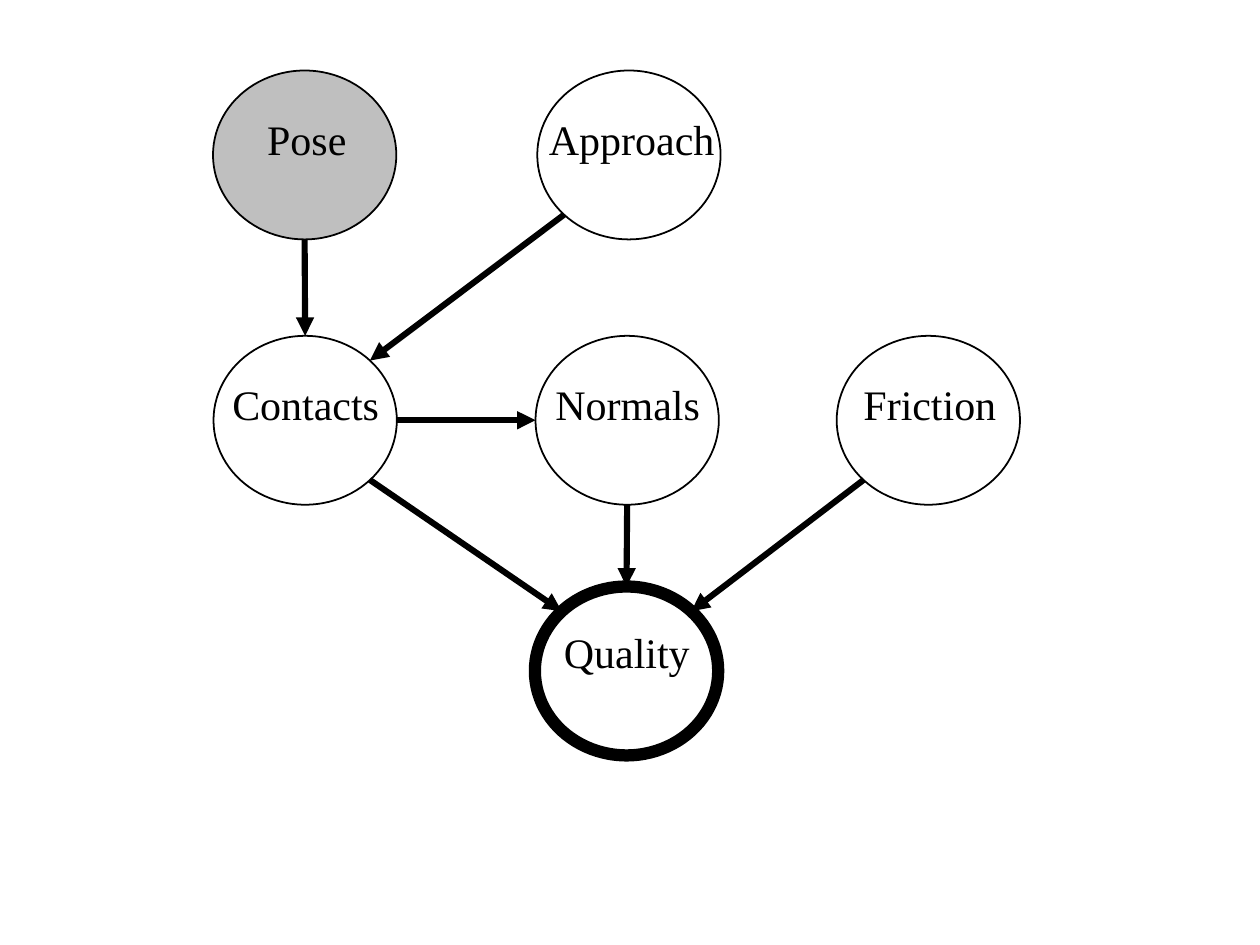
from dataclasses import dataclass
from math import sqrt

from lxml.etree import SubElement
from pptx import Presentation
from pptx.dml.color import RGBColor
from pptx.enum.shapes import MSO_CONNECTOR as Connector, MSO_SHAPE as Shape
from pptx.enum.text import PP_ALIGN as Align
from pptx.oxml.ns import qn
from pptx.util import Pt


@dataclass(frozen=True)
class Theme:
    font: str = "Times New Roman"
    label_size: int = 48
    ink: RGBColor = RGBColor(0, 0, 0)
    plain: RGBColor = RGBColor(255, 255, 255)
    observed: RGBColor = RGBColor(191, 191, 191)
    outline: int = 2
    heavy_outline: int = 14
    arrow: int = 7


@dataclass(frozen=True)
class Node:
    name: str
    left: float
    top: float
    label_width: float
    label_nudge: float
    label_drop: float = 45.4
    observed: bool = False
    heavy: bool = False


NODE_WIDTH, NODE_HEIGHT, LABEL_HEIGHT = 209.5, 193, 65.5
DIAGONAL = sqrt(0.5)
SITES = {
    "top": (0, -1),
    "bottom": (0, 1),
    "left": (-1, 0),
    "right": (1, 0),
    "top left": (-DIAGONAL, -DIAGONAL),
    "top right": (DIAGONAL, -DIAGONAL),
    "bottom left": (-DIAGONAL, DIAGONAL),
    "bottom right": (DIAGONAL, DIAGONAL),
}
TOP_ROW, MIDDLE_ROW, BOTTOM_ROW = 80.6, 383.8, 670.3
NODES = [
    Node("Approach", 614, TOP_ROW, 244, 3.2),
    Node("Contacts", 244, MIDDLE_ROW, 201.6, 0.7),
    Node("Friction", 956.2, MIDDLE_ROW, 190.8, 1.8),
    Node("Normals", 612, MIDDLE_ROW, 191.5, 0.7),
    Node("Pose", 243.4, TOP_ROW, 160.6, 2.5, observed=True),
    Node("Quality", 611.3, BOTTOM_ROW, 244, 0.4, 42.5, heavy=True),
]
ARROWS = [
    ("Pose", "bottom", "Contacts", "top"),
    ("Approach", "bottom left", "Contacts", "top right"),
    ("Contacts", "right", "Normals", "left"),
    ("Contacts", "bottom right", "Quality", "top left"),
    ("Normals", "bottom", "Quality", "top"),
    ("Friction", "bottom left", "Quality", "top right"),
]


def site_point(node, site):
    across, down = SITES[site]
    return (
        Pt(node.left + NODE_WIDTH / 2 * (1 + across)),
        Pt(node.top + NODE_HEIGHT / 2 * (1 + down)),
    )


class Diagram:
    def __init__(self, slide, theme):
        self.slide = slide
        self.theme = theme

    def circle(self, node):
        theme = self.theme
        circle = self.slide.shapes.add_shape(
            Shape.OVAL, Pt(node.left), Pt(node.top), Pt(NODE_WIDTH), Pt(NODE_HEIGHT)
        )
        circle.shadow.inherit = False
        circle.fill.solid()
        circle.fill.fore_color.rgb = theme.observed if node.observed else theme.plain
        circle.line.color.rgb = theme.ink
        circle.line.width = Pt(theme.heavy_outline if node.heavy else theme.outline)

    def label(self, node):
        left = node.left + (NODE_WIDTH - node.label_width) / 2 + node.label_nudge
        box = self.slide.shapes.add_textbox(
            Pt(left), Pt(node.top + node.label_drop), Pt(node.label_width), Pt(LABEL_HEIGHT)
        )
        box.text_frame.word_wrap = True
        para = box.text_frame.paragraphs[0]
        para.text = node.name
        para.alignment = Align.CENTER
        para.font.name = self.theme.font
        para.font.size = Pt(self.theme.label_size)
        para.font.color.rgb = self.theme.ink

    def arrow(self, start, end):
        arrow = self.slide.shapes.add_connector(Connector.STRAIGHT, *start, *end)
        arrow.line.color.rgb = self.theme.ink
        arrow.line.width = Pt(self.theme.arrow)
        properties = arrow.element.spPr
        SubElement(properties.find(qn("a:ln")), qn("a:tailEnd"), type="triangle")
        SubElement(properties, qn("a:effectLst"))


def main():
    deck = Presentation()
    deck.slide_width, deck.slide_height = Pt(1440), Pt(1080)
    page = deck.slides.add_slide(deck.slide_layouts[6])
    diagram = Diagram(page, Theme())
    for node in NODES:
        diagram.circle(node)
        diagram.label(node)
    by_name = {node.name: node for node in NODES}
    for source, source_site, target, target_site in ARROWS:
        diagram.arrow(
            site_point(by_name[source], source_site),
            site_point(by_name[target], target_site),
        )
    deck.save("out.pptx")


if __name__ == "__main__":
    main()
